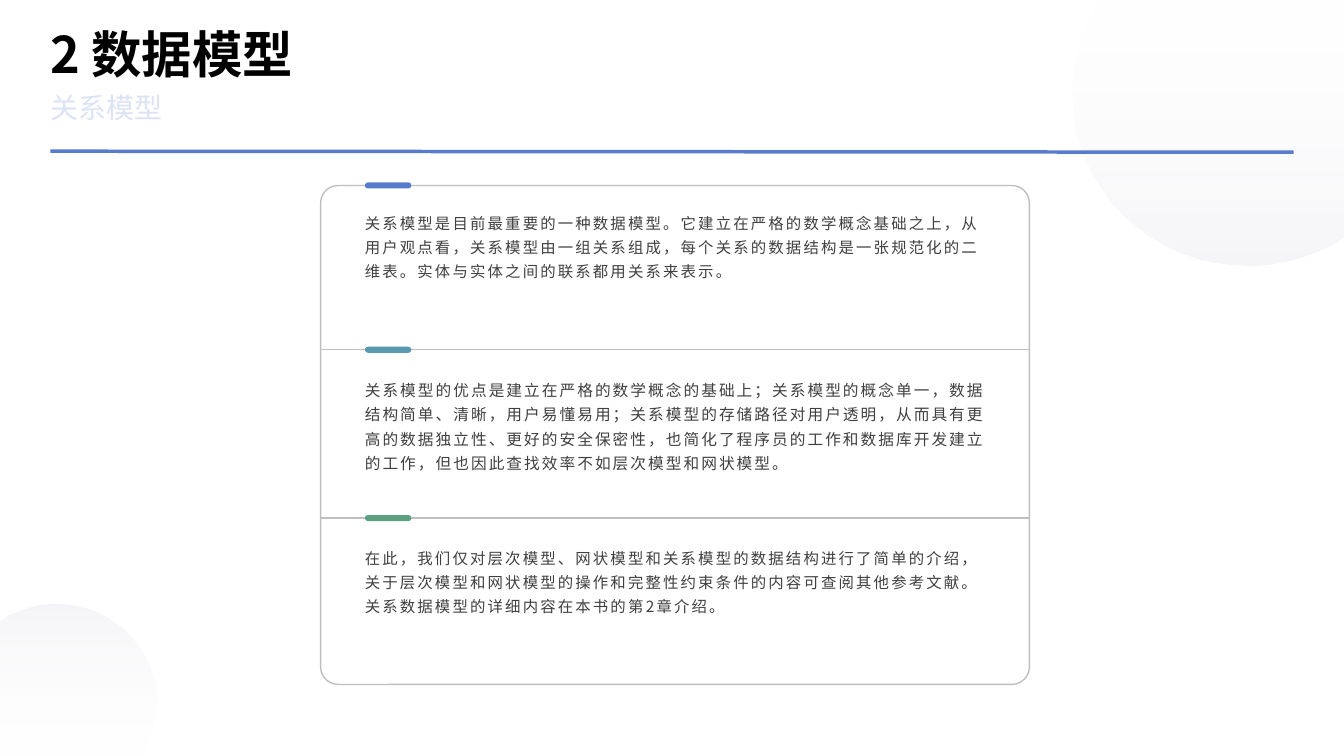
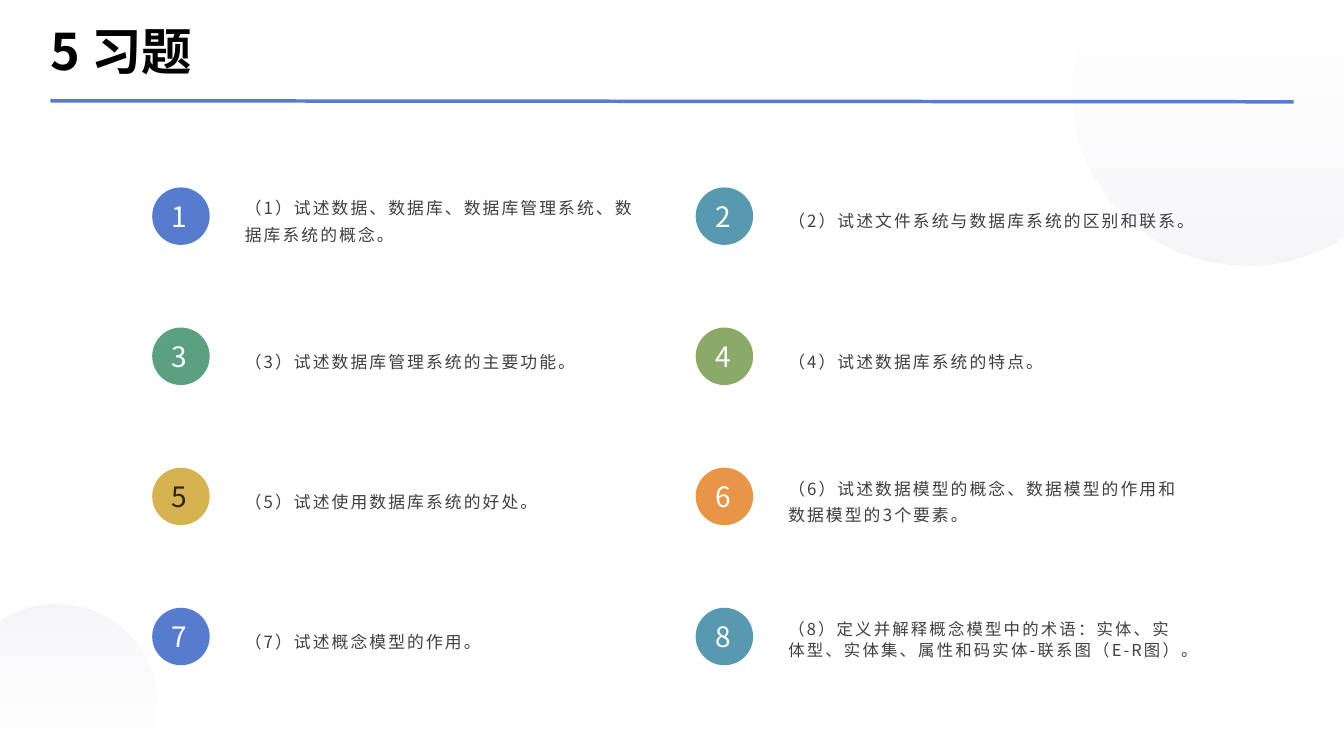
from dataclasses import dataclass

from lxml.etree import SubElement
from pptx import Presentation
from pptx.dml.color import RGBColor
from pptx.enum.shapes import MSO_CONNECTOR as Connector, MSO_SHAPE as Preset
from pptx.enum.text import MSO_ANCHOR as Anchor, PP_ALIGN as Align
from pptx.oxml.ns import qn
from pptx.util import Inches, Pt


@dataclass(frozen=True)
class Theme:
    font: str = "Noto Sans CJK SC"
    title: str = "000000"
    subtitle: str = "DCE3F4"
    body: str = "404040"
    dark: str = "262626"
    light: str = "FFFFFF"
    border: str = "BFBFBF"
    haze: str = "D8D8E4"
    accents: tuple = ("577CCE", "5999AF", "5BA080", "8BAA69", "D6B250", "E79647")
    title_size: float = 36
    subtitle_size: float = 20
    number_size: float = 20
    exercise_size: float = 12
    body_spacing: float = 1.5
    number_spacing: float = 3


@dataclass(frozen=True)
class Box:
    left: float
    top: float
    width: float
    height: float

    def inner(self, dx, dy, width, height):
        return Box(self.left + dx, self.top + dy, width, height)

    def emu(self):
        return [Inches(v) for v in (self.left, self.top, self.width, self.height)]


THEME = Theme()
PAGE = Box(0, 0, 13.33, 7.5)
HEADER = Box(0.5, 0.16, 12.33, 0.67)
CARD = Box(3.18, 1.84, 7.03, 4.95)
EXERCISES = Box(1.51, 1.86, 10.31, 4.74)

STRAIGHT_POINTS = 3
TOP_DISC = [
    (10.92, 0), (13.33, 0), (13.33, 2.34), (13.2, 2.42),
    (12.95, 2.55), (12.67, 2.63), (12.37, 2.63),
    (11.41, 2.63), (10.64, 1.87), (10.64, 0.92),
    (10.64, 0.63), (10.71, 0.35), (10.85, 0.11),
]
BOTTOM_DISC = [
    (1.39, 7.5), (0, 7.5), (0, 6.16), (0.08, 6.11),
    (0.22, 6.04), (0.38, 5.99), (0.55, 5.99),
    (1.1, 5.99), (1.55, 6.43), (1.55, 6.97),
    (1.55, 7.14), (1.5, 7.3), (1.43, 7.44),
]

SECTIONS = [
    (0, 0.18, 11, "关系模型是目前最重要的一种数据模型。它建立在严格的数学概念基础之上，从用户观点看，关系模型由一组关系组成，每个关系的数据结构是一张规范化的二维表。实体与实体之间的联系都用关系来表示。"),
    (1.63, 0.2, 11.2, "关系模型的优点是建立在严格的数学概念的基础上；关系模型的概念单一，数据结构简单、清晰，用户易懂易用；关系模型的存储路径对用户透明，从而具有更高的数据独立性、更好的安全保密性，也简化了程序员的工作和数据库开发建立的工作，但也因此查找效率不如层次模型和网状模型。"),
    (3.3, 0.2, 11, "在此，我们仅对层次模型、网状模型和关系模型的数据结构进行了简单的介绍，关于层次模型和网状模型的操作和完整性约束条件的内容可查阅其他参考文献。关系数据模型的详细内容在本书的第2章介绍。"),
]

QUESTIONS = [
    "（1）试述数据、数据库、数据库管理系统、数据库系统的概念。",
    "（2）试述文件系统与数据库系统的区别和联系。",
    "（3）试述数据库管理系统的主要功能。",
    "（4）试述数据库系统的特点。",
    "（5）试述使用数据库系统的好处。",
    "（6）试述数据模型的概念、数据模型的作用和数据模型的3个要素。",
    "（7）试述概念模型的作用。",
    "（8）定义并解释概念模型中的术语：实体、实体型、实体集、属性和码实体-联系图（E-R图）。",
]
TIGHT_FITS = {8: (11.7, 1.1)}


def rgb(value):
    return RGBColor.from_string(value)


def add_run(paragraph, text, size, color, bold=False, spacing=0):
    run = paragraph.add_run()
    run.text = text
    run.font.size = Pt(size)
    run.font.bold = bold
    run.font.color.rgb = rgb(color)
    run.font.name = THEME.font
    properties = run._r.get_or_add_rPr()
    properties.set("lang", "zh-CN")
    if spacing:
        properties.set("spc", str(int(spacing * 100)))
    SubElement(properties, qn("a:ea")).set("typeface", THEME.font)


def set_frame(frame, anchor, insets=None):
    frame.word_wrap = True
    frame.vertical_anchor = anchor
    if insets is not None:
        (frame.margin_left, frame.margin_top,
         frame.margin_right, frame.margin_bottom) = [Inches(v) for v in insets]
    return frame.paragraphs[0]


def add_text(slide, box, anchor=Anchor.TOP, insets=None):
    return set_frame(slide.shapes.add_textbox(*box.emu()).text_frame, anchor, insets)


def add_body(slide, box, text, size, leading=1.3, anchor=Anchor.TOP):
    paragraph = add_text(slide, box, anchor)
    paragraph.line_spacing = leading
    add_run(paragraph, text, size, THEME.body, spacing=THEME.body_spacing)


def add_rounded(slide, box, radius, fill=None, line=None):
    shape = slide.shapes.add_shape(Preset.ROUNDED_RECTANGLE, *box.emu())
    shape.adjustments[0] = radius
    shape.shadow.inherit = False
    if fill:
        shape.fill.solid()
        shape.fill.fore_color.rgb = rgb(fill)
    else:
        shape.fill.background()
    if line:
        shape.line.color.rgb = rgb(line)
        shape.line.width = Pt(1)
    else:
        shape.line.fill.background()
    return shape


def add_line(slide, start, end, color, width):
    ends = [Inches(v) for v in (*start, *end)]
    line = slide.shapes.add_connector(Connector.STRAIGHT, *ends)
    line.line.color.rgb = rgb(color)
    line.line.width = Pt(width)
    SubElement(line._element.spPr, qn("a:effectLst"))


def bend_segments(properties):
    segments = list(properties.iter(qn("a:lnTo")))[STRAIGHT_POINTS:]
    for curve, *controls in zip(*[iter(segments)] * 3):
        curve.tag = qn("a:cubicBezTo")
        for control in controls:
            curve.append(control[0])
            control.getparent().remove(control)


def add_haze(slide, outline, angle):
    start, *points = [(Inches(x), Inches(y)) for x, y in outline]
    builder = slide.shapes.build_freeform(*start)
    builder.add_line_segments(points, close=True)
    disc = builder.convert_to_shape()
    bend_segments(disc._element.spPr)
    disc.shadow.inherit = False
    disc.line.fill.background()
    disc.fill.gradient()
    disc.fill.gradient_angle = angle
    stops = disc.fill.gradient_stops
    for stop, color, place in zip(stops, (THEME.light, THEME.haze), (0, 1)):
        stop.color.rgb = rgb(color)
        stop.position = place
    tints = disc._element.spPr.iter(qn("a:srgbClr"))
    for tint, opacity in zip(tints, (10, 24)):
        SubElement(tint, qn("a:alpha")).set("val", str(opacity * 1000))


def add_backdrop(slide):
    add_haze(slide, TOP_DISC, 270)
    add_haze(slide, BOTTOM_DISC, 90)


def add_header(slide, box, title, rule_top, anchor, subtitle=None):
    right = box.left + box.width
    add_line(slide, (box.left, rule_top), (right, rule_top + 0.01),
             THEME.accents[0], 2.5)
    heading = add_text(slide, box, anchor, (0, 0, 0, 0))
    add_run(heading, title, THEME.title_size, THEME.title, True)
    if subtitle:
        place = box.inner(0, box.height + 0.02, box.width, 0.43)
        line = add_text(slide, place, Anchor.MIDDLE, (0, 0, 0, 0))
        add_run(line, subtitle, THEME.subtitle_size, THEME.subtitle)


def add_section_card(slide, box):
    add_rounded(slide, box, 0.035, line=THEME.border)
    for (row, rise, size, text), accent in zip(SECTIONS, THEME.accents):
        top = box.top + row
        if row:
            add_line(slide, (box.left, top), (box.left + box.width, top),
                     THEME.border, 1)
        add_rounded(slide, box.inner(0.44, row - 0.03, 0.46, 0.06), 0.5, accent)
        add_body(slide, box.inner(0.34, row + rise, 6.38, 1.26), text, size)


def add_exercise(slide, box, number, question):
    accent = THEME.accents[(number - 1) % len(THEME.accents)]
    badge = add_rounded(slide, box.inner(0, 0, 0.57, 0.57), 0.5, accent)
    label = set_frame(badge.text_frame, Anchor.MIDDLE, (0, 0, 0.03, 0))
    label.alignment = Align.CENTER
    ink = THEME.dark if number == 5 else THEME.light
    add_run(label, str(number), THEME.number_size, ink,
            spacing=THEME.number_spacing)
    size, leading = TIGHT_FITS.get(number, (THEME.exercise_size, 1.3))
    add_body(slide, box.inner(0.82, -0.09, 4.1, 0.79), question, size, leading,
             Anchor.MIDDLE)


def add_exercise_grid(slide, box, columns=2, rows=4):
    width, height = 4.92, 0.57
    column_step = (box.width - width) / (columns - 1)
    row_step = (box.height - height) / (rows - 1)
    for index, question in enumerate(QUESTIONS):
        row, column = divmod(index, columns)
        cell = box.inner(column * column_step, row * row_step, width, height)
        add_exercise(slide, cell, index + 1, question)


def new_slide(deck):
    slide = deck.slides.add_slide(deck.slide_layouts[6])
    add_backdrop(slide)
    return slide


def main():
    deck = Presentation()
    deck.slide_width, deck.slide_height = Inches(PAGE.width), Inches(PAGE.height)

    relational = new_slide(deck)
    add_header(relational, HEADER, "2 数据模型", 1.5, Anchor.BOTTOM, "关系模型")
    add_section_card(relational, CARD)

    exercises = new_slide(deck)
    add_header(exercises, HEADER, "5 习题", 1, Anchor.MIDDLE)
    add_exercise_grid(exercises, EXERCISES)

    deck.save("out.pptx")


if __name__ == "__main__":
    main()
